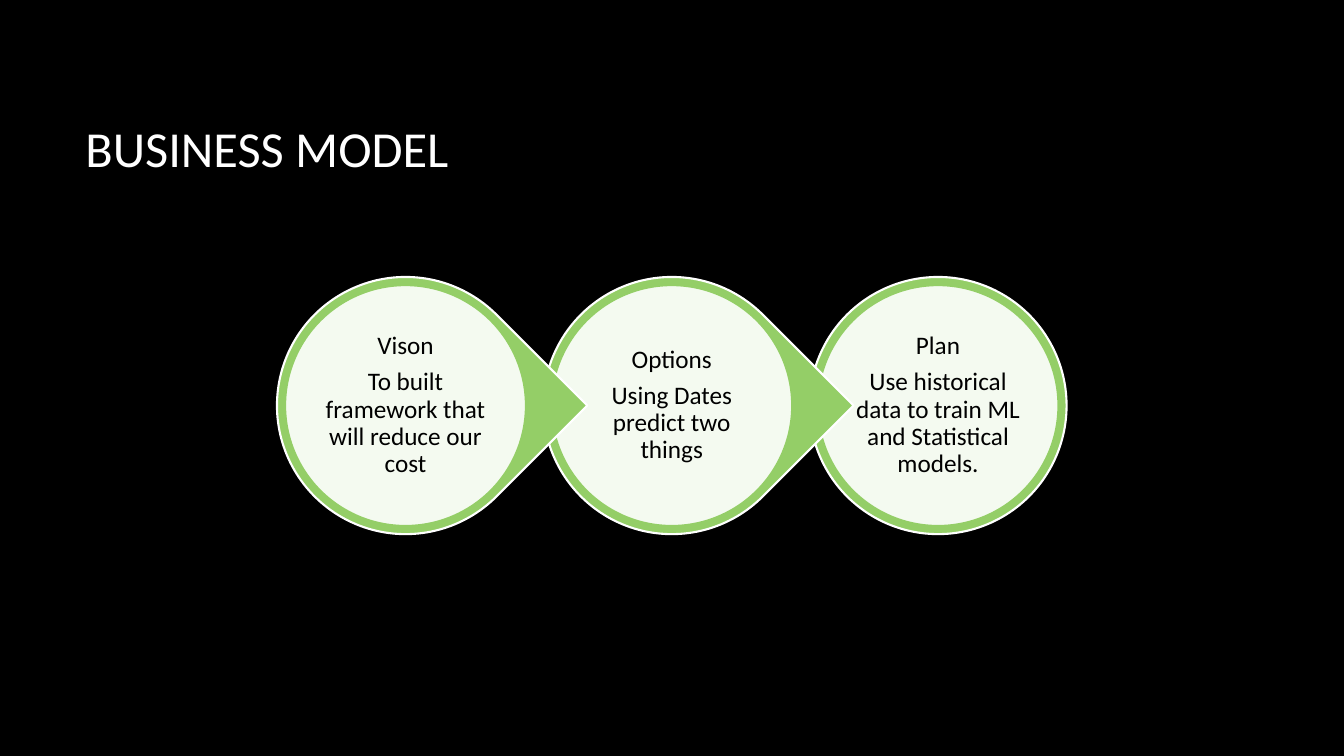
from dataclasses import dataclass

from lxml import etree
from pptx import Presentation
from pptx.dml.color import RGBColor
from pptx.enum.shapes import MSO_SHAPE
from pptx.enum.text import MSO_ANCHOR, PP_ALIGN
from pptx.oxml.ns import qn
from pptx.util import Cm, Pt

ELLIPSE, TEARDROP = MSO_SHAPE.OVAL, MSO_SHAPE.TEAR
MIDDLE = MSO_ANCHOR.MIDDLE
LEFT, CENTER = PP_ALIGN.LEFT, PP_ALIGN.CENTER


@dataclass(frozen=True)
class Theme:
    background: RGBColor = RGBColor(0, 0, 0)
    white: RGBColor = RGBColor(255, 255, 255)
    ink: RGBColor = RGBColor(0, 0, 0)
    green: RGBColor = RGBColor(0x94, 0xCE, 0x67)
    font: str = "Calibri"
    title_size: float = 36
    step_size: float = 18
    outline: float = 1.5
    disc_opacity: int = 90


THEME = Theme()

STEPS = [
    ("Vison", "To built framework that will reduce our cost"),
    ("Options", "Using Dates predict two things"),
    ("Plan", "Use historical data to train ML and Statistical models."),
]

# Step geometry in centimetres
FIRST_CENTER, CENTER_Y, STEP_PITCH = 10.22, 10.22, 6.71
RIM_SIZE, DISC_SIZE, LABEL_SIZE = 6.48, 6.07, 4.34
LABEL_INSET = 0.08


def centered_box(center_x, size):
    """Left, top, width and height of a square centred on the step row."""
    return (Cm(center_x - size / 2), Cm(CENTER_Y - size / 2), Cm(size), Cm(size))


def add_run(paragraph, text, size, color):
    run = paragraph.add_run()
    run.text = text
    run.font.name = THEME.font
    run.font.size = Pt(size)
    run.font.color.rgb = color


def add_outlined(shapes, preset, center_x, size, fill, line):
    shape = shapes.add_shape(preset, *centered_box(center_x, size))
    shape.shadow.inherit = False
    shape.fill.solid()
    shape.fill.fore_color.rgb = fill
    shape.line.color.rgb = line
    shape.line.width = Pt(THEME.outline)
    return shape


def set_opacity(shape, percent):
    color = shape.fill._xPr.find(qn("a:solidFill"))[0]
    etree.SubElement(color, qn("a:alpha"), val=str(percent * 1000))


def add_label(shapes, center_x, lines):
    frame = shapes.add_textbox(*centered_box(center_x, LABEL_SIZE)).text_frame
    frame.word_wrap = True
    frame.vertical_anchor = MIDDLE
    frame.margin_left = frame.margin_right = Cm(LABEL_INSET)
    frame.margin_top = frame.margin_bottom = Cm(LABEL_INSET)
    for index, line in enumerate(lines):
        paragraph = frame.add_paragraph() if index else frame.paragraphs[0]
        paragraph.alignment = CENTER
        paragraph.line_spacing = 0.9
        paragraph.space_after = Pt(0.35 * THEME.step_size)
        add_run(paragraph, line, THEME.step_size, THEME.ink)


def add_step(shapes, center_x, lines, is_last):
    # Rim: a teardrop pointing at the next step, a plain circle at the end
    preset = ELLIPSE if is_last else TEARDROP
    rim = add_outlined(shapes, preset, center_x, RIM_SIZE, THEME.green, THEME.white)
    if not is_last:
        rim.rotation = 45
    # Pale disc and its wording
    disc = add_outlined(shapes, ELLIPSE, center_x, DISC_SIZE, THEME.white, THEME.green)
    set_opacity(disc, THEME.disc_opacity)
    add_label(shapes, center_x, lines)


def set_title(slide, text):
    title = slide.shapes.title
    title.left, title.top = Cm(1.9), Cm(1.7)
    title.width, title.height = Cm(28.15), Cm(4.04)
    title.text_frame.vertical_anchor = MIDDLE
    heading = title.text_frame.paragraphs[0]
    heading.alignment = LEFT
    add_run(heading, text, THEME.title_size, THEME.white)


def main():
    presentation = Presentation()
    presentation.slide_width, presentation.slide_height = Cm(33.87), Cm(19.05)
    slide = presentation.slides.add_slide(presentation.slide_layouts[5])
    slide.background.fill.solid()
    slide.background.fill.fore_color.rgb = THEME.background

    set_title(slide, "BUSINESS MODEL")

    # Last step first, so that each tip overlaps the step after it
    process = slide.shapes.add_group_shape()
    last = len(STEPS) - 1
    for index in range(last, -1, -1):
        center_x = FIRST_CENTER + index * STEP_PITCH
        add_step(process.shapes, center_x, STEPS[index], index == last)

    presentation.save("out.pptx")


main()
